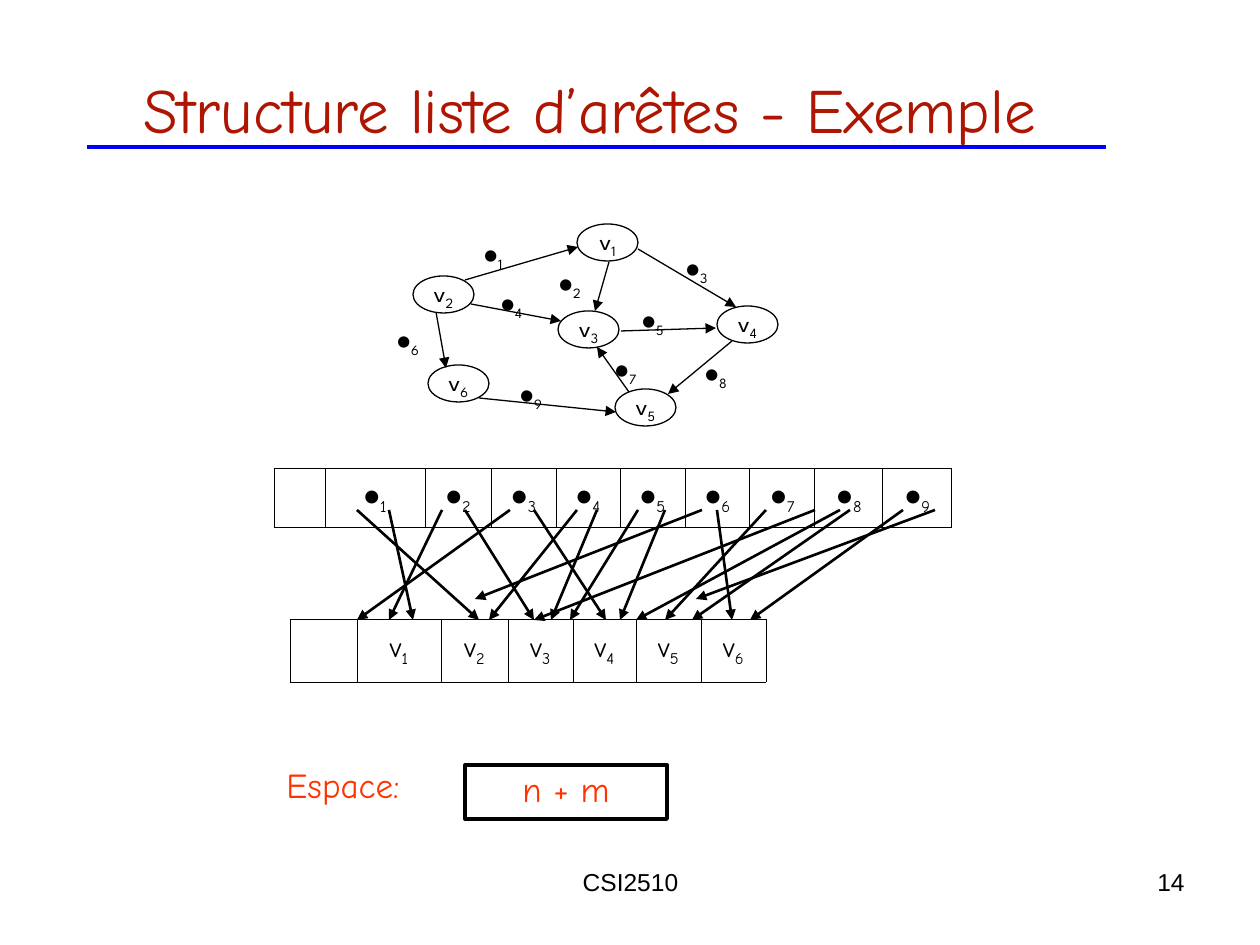
from lxml.etree import SubElement
from pptx import Presentation
from pptx.dml.color import RGBColor
from pptx.enum.shapes import MSO_CONNECTOR as Connector, MSO_SHAPE as Shape
from pptx.enum.text import MSO_ANCHOR as Anchor, MSO_AUTO_SIZE as AutoSize, PP_ALIGN as Align
from pptx.oxml.ns import qn
from pptx.util import Emu, Pt

BLACK = RGBColor(0x00, 0x00, 0x00)
WHITE = RGBColor(0xFF, 0xFF, 0xFF)
BLUE = RGBColor(0x00, 0x00, 0xFF)
TITLE_RED = RGBColor(0xAE, 0x15, 0x02)
ORANGE = RGBColor(0xFF, 0x33, 0x00)
HAND, GEOMETRIC, PLAIN, SYMBOL = "Comic Neue", "League Spartan", "Arial", "Calibri"
EDGE = "●"
TITLE_ONLY = 5

NODE_SIZE = (61, 37)
NODES = {2: (413, 276), 1: (577, 224), 6: (428, 365),
         3: (558, 311), 4: (717, 306), 5: (615, 389)}
# Edge number: label corner, arrow start, arrow end
EDGES = {
    1: ((471, 233), (465, 280), (578, 247)),
    2: ((546, 262), (609, 262), (595, 311)),
    3: ((673, 247), (638, 249), (736, 307)),
    4: ((488, 282), (471, 304), (561, 321)),
    5: ((629, 299), (621, 331), (716, 328)),
    6: ((384, 319), (436, 312), (446, 368)),
    7: ((602, 348), (629, 392), (597, 347)),
    8: ((692, 352), (732, 341), (668, 394)),
    9: ((507, 373), (479, 398), (616, 412)),
}
LABEL_SIZE = (48, 47)

EDGE_COLUMNS = [51, 100, 66, 65, 64, 65, 65, 65, 68, 69]
NODE_COLUMNS = [67, 84, 67, 65, 63, 65, 65]
POINTER_TOP, POINTER_END, POINTER_SHORT_END = 510, 620, 599
POINTERS = [(357, 479), (389, 413), (442, 389), (465, 534), (510, 357), (534, 606),
            (577, 489), (597, 551), (638, 570), (665, 620), (717, 732), (766, 665),
            (815, 534), (840, 636), (850, 692), (903, 750)]
SHORT_POINTERS = [(702, 475), (935, 696)]


def px(length):
    return Emu(round(length * 914400 / 126))


class SlideBuilder:
    def __init__(self, deck):
        self.slide = deck.slides.add_slide(deck.slide_layouts[TITLE_ONLY])
        self.shapes = self.slide.shapes

    def set_font(self, font, size, name, color):
        font.size, font.name, font.color.rgb = Pt(size), name, color

    def set_text(self, frame, text, size, name, color=BLACK, align=Align.LEFT):
        para = frame.paragraphs[0]
        para.text = text
        para.alignment = align
        self.set_font(para.font, size, name, color)

    def set_indexed(self, frame, symbol, index, size, name, align=Align.CENTER):
        """Fill a frame with a symbol followed by its subscript number."""
        para = frame.paragraphs[0]
        para.alignment = align
        self.set_font(para.font, size, name, BLACK)
        base = para.add_run()
        base.text = symbol
        if symbol == EDGE:
            base.font.name = SYMBOL
        subscript = para.add_run()
        subscript.text = str(index)
        subscript.font._element.set("baseline", "-25000")

    def title(self, text, left, top, width, height):
        box = self.shapes.title
        box.left, box.top, box.width, box.height = map(px, (left, top, width, height))
        box.text_frame.vertical_anchor = Anchor.MIDDLE
        self.set_text(box.text_frame, text, 36, HAND, TITLE_RED, Align.CENTER)

    def frame(self, left, top, width, height, wrap=True):
        frame = self.shapes.add_textbox(*map(px, (left, top, width, height))).text_frame
        frame.word_wrap = wrap
        return frame

    def edge_label(self, index, corner):
        frame = self.frame(*corner, *LABEL_SIZE, wrap=False)
        frame.auto_size = AutoSize.SHAPE_TO_FIT_TEXT
        self.set_indexed(frame, EDGE, index, 14, GEOMETRIC, Align.LEFT)

    def outlined(self, kind, left, top, width, height, weight):
        shape = self.shapes.add_shape(kind, *map(px, (left, top, width, height)))
        shape.shadow.inherit = False
        shape.fill.solid()
        shape.fill.fore_color.rgb = WHITE
        shape.line.color.rgb = BLACK
        shape.line.width = Pt(weight)
        shape.text_frame.vertical_anchor = Anchor.MIDDLE
        return shape.text_frame

    def node(self, index, corner):
        frame = self.outlined(Shape.OVAL, *corner, *NODE_SIZE, 0.75)
        frame.word_wrap = False
        self.set_indexed(frame, "v", index, 14, GEOMETRIC)

    def line(self, start, end, weight, color=BLACK, arrow=True):
        line = self.shapes.add_connector(Connector.STRAIGHT, *map(px, (*start, *end)))
        line.line.color.rgb = color
        line.line.width = Pt(weight)
        properties = line._element.spPr
        if arrow:
            SubElement(properties.find(qn("a:ln")), qn("a:tailEnd"), type="triangle")
        SubElement(properties, qn("a:effectLst"))

    def border(self, cell):
        properties = cell._tc.get_or_add_tcPr()
        for position, side in enumerate(("lnL", "lnR", "lnT", "lnB")):
            edge = properties.makeelement(qn(f"a:{side}"), {"w": str(Pt(0.45))})
            fill = SubElement(edge, qn("a:solidFill"))
            SubElement(fill, qn("a:srgbClr"), val=str(BLACK))
            properties.insert(position, edge)

    def sequence(self, left, top, height, columns, symbol):
        """Draw a one-row table: an empty cell, then the numbered symbols."""
        table = self.shapes.add_table(
            1, len(columns), *map(px, (left, top, sum(columns), height))).table
        table.first_row = table.horz_banding = False
        for index, width in enumerate(columns):
            table.columns[index].width = px(width)
            cell = table.cell(0, index)
            cell.fill.background()
            cell.vertical_anchor = Anchor.MIDDLE
            self.border(cell)
            if index:
                self.set_indexed(cell.text_frame, symbol, index, 16, HAND)


def main():
    deck = Presentation()
    deck.slide_width, deck.slide_height = px(1260), px(945)
    page = SlideBuilder(deck)

    page.title("Structure liste d’arêtes - Exemple", 33, 29, 1113, 158)
    page.line((87, 147), (1106, 147), 2.75, BLUE, arrow=False)

    for index, corner in NODES.items():
        page.node(index, corner)
    for index, (corner, start, end) in EDGES.items():
        page.line(start, end, 0.75)
        page.edge_label(index, corner)

    page.sequence(274, 468, 59, EDGE_COLUMNS, EDGE)
    page.sequence(290, 619, 63, NODE_COLUMNS, "v")
    for pointers, bottom in ((POINTERS, POINTER_END), (SHORT_POINTERS, POINTER_SHORT_END)):
        for start, end in pointers:
            page.line((start, POINTER_TOP), (end, bottom), 1.5)

    page.set_text(page.frame(274, 757, 229, 55), "Espace:", 20, HAND, ORANGE)
    formula = page.outlined(Shape.RECTANGLE, 465, 765, 202, 54, 2.25)
    formula.margin_top = 0
    page.set_text(formula, "n + m", 20, HAND, ORANGE, Align.CENTER)

    page.set_text(page.frame(431, 861, 399, 66), "CSI2510", 14, PLAIN, align=Align.CENTER)
    page.set_text(page.frame(903, 861, 294, 66), "14", 14, PLAIN, align=Align.RIGHT)

    deck.save("out.pptx")


if __name__ == "__main__":
    main()
